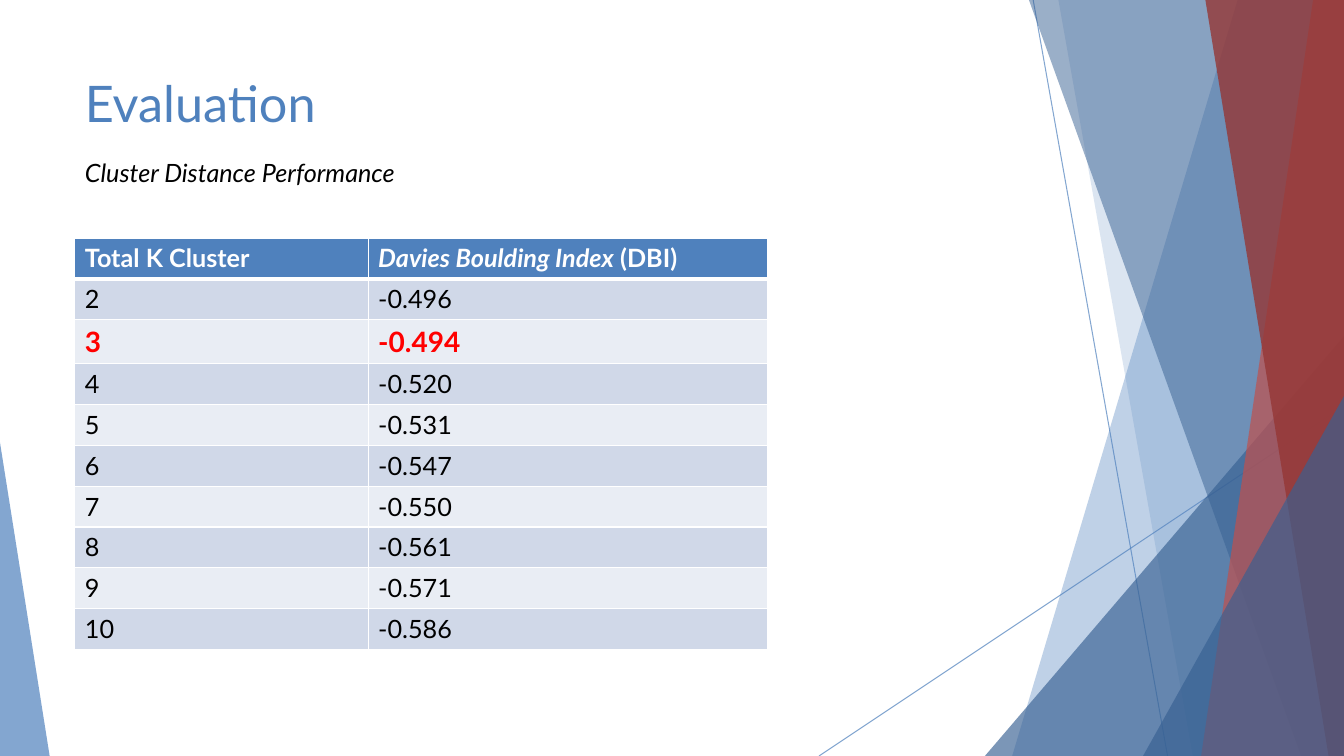
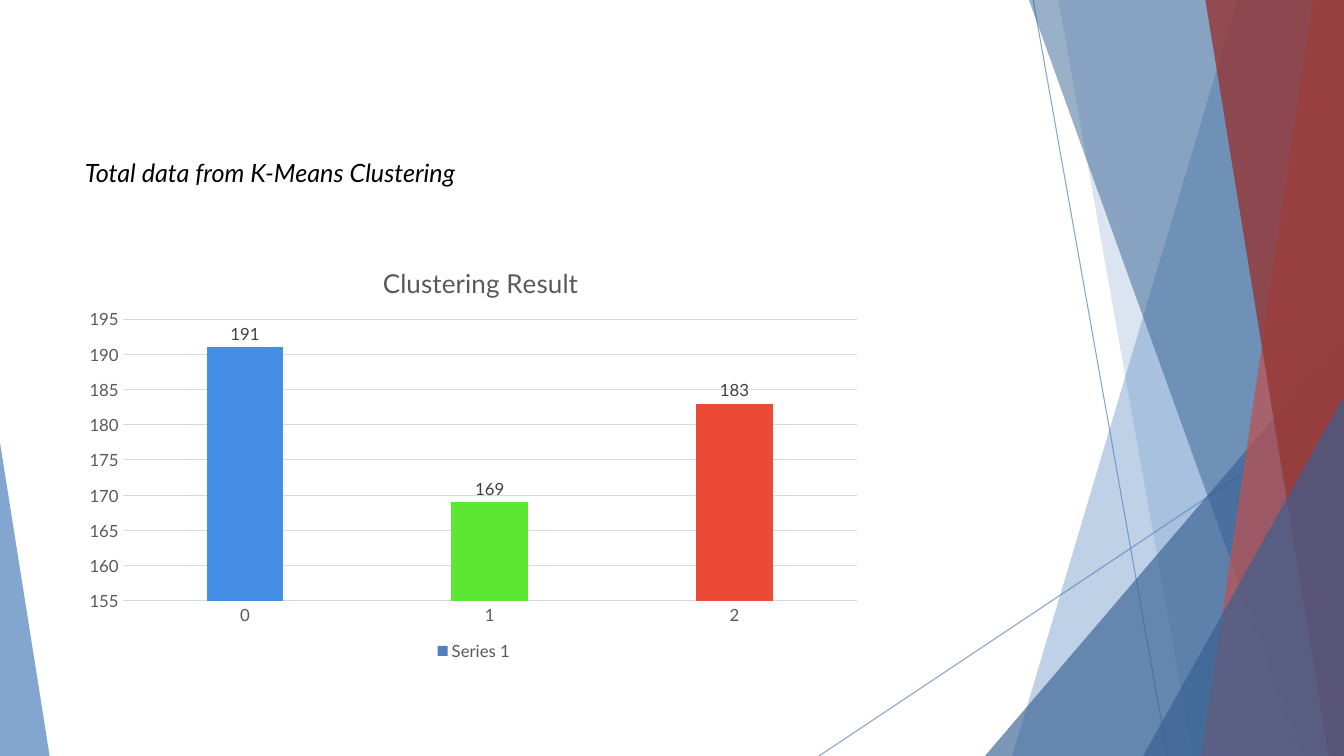
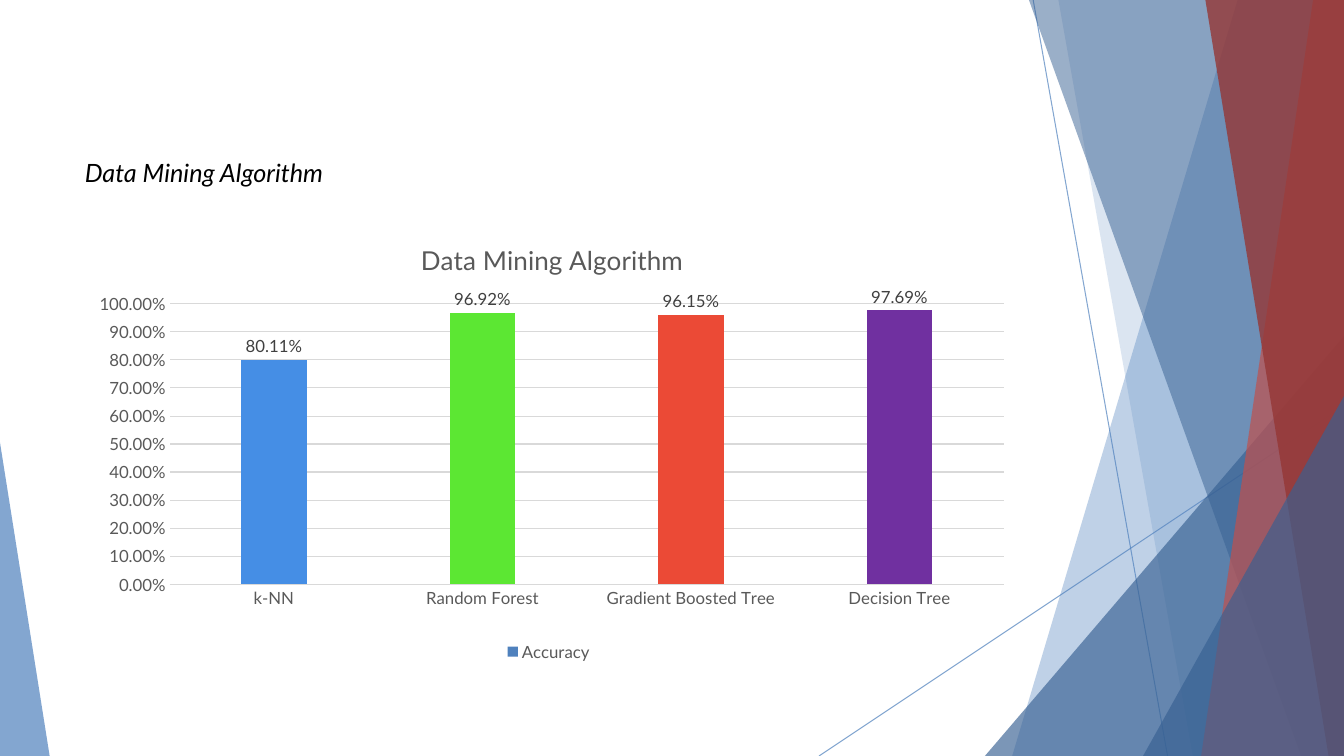
from lxml.etree import SubElement
from pptx import Presentation
from pptx.chart.data import CategoryChartData
from pptx.dml.color import RGBColor
from pptx.enum.chart import XL_CHART_TYPE, XL_LABEL_POSITION, XL_LEGEND_POSITION, XL_TICK_MARK
from pptx.enum.shapes import MSO_CONNECTOR, MSO_SHAPE
from pptx.oxml import parse_xml
from pptx.oxml.ns import nsdecls, qn
from pptx.util import Pt

FONT = "Lato"
WIDTH, HEIGHT = 960, 540
LEFT = 53.5

BLUE = RGBColor(0x4F, 0x81, 0xBD)
NAVY = RGBColor(0x37, 0x60, 0x92)
ROSE = RGBColor(0xC0, 0x50, 0x4D)
MAROON = RGBColor(0x95, 0x37, 0x35)
BLACK = RGBColor(0, 0, 0)
WHITE = RGBColor(0xFF, 0xFF, 0xFF)
RED = RGBColor(0xFF, 0, 0)
BAND_DARK = RGBColor(0xD0, 0xD8, 0xE8)
BAND_LIGHT = RGBColor(0xE9, 0xED, 0xF4)
GREY = RGBColor(0x59, 0x59, 0x59)
LABEL_GREY = RGBColor(0x40, 0x40, 0x40)
GRID = RGBColor(0xD9, 0xD9, 0xD9)
BAR_COLORS = [RGBColor(0x45, 0x8E, 0xE5), RGBColor(0x5C, 0xE7, 0x33),
              RGBColor(0xEB, 0x4A, 0x36), RGBColor(0x70, 0x30, 0xA0)]


def set_alpha(shape, percent):
    for color in shape._element.spPr.iter(qn("a:srgbClr")):
        SubElement(color, qn("a:alpha")).set("val", str(percent * 1000))


def set_font(font, size, color, bold=False, italic=False):
    font.name, font.size = FONT, Pt(size)
    font.bold, font.italic = bold, italic
    font.color.rgb = color


def set_layout(parent, index, **fractions):
    """Place a chart part by fractions of the chart area."""
    for old in parent.findall(qn("c:layout")):
        parent.remove(old)
    layout = parse_xml(f"<c:layout {nsdecls('c')}><c:manualLayout/></c:layout>")
    manual = layout[0]
    if "w" in fractions:
        SubElement(manual, qn("c:layoutTarget")).set("val", "inner")
    for key in "xy":
        SubElement(manual, qn(f"c:{key}Mode")).set("val", "edge")
    for key, value in fractions.items():
        SubElement(manual, qn(f"c:{key}")).set("val", str(value))
    parent.insert(index, layout)


class Deck:
    def __init__(self):
        self.prs = Presentation()
        self.prs.slide_width, self.prs.slide_height = Pt(WIDTH), Pt(HEIGHT)
        self.s = None

    def slide(self, subtitle):
        self.s = self.prs.slides.add_slide(self.prs.slide_layouts[6])
        self.facets()
        self.text(subtitle, 108.5, 29, 18, BLACK, italic=True)

    # Shared background
    def facets(self):
        self.line(738, 0, 834, HEIGHT)
        self.line(WIDTH, 290, 585, HEIGHT)
        self.panel(884, 723, BLUE, 36)
        self.panel(756, 852, BLUE, 20)
        self.triangle(703.5, 240, 256.5, 1, NAVY, 66)
        self.panel(735, 929.5, NAVY, 50)
        self.panel(938, 858, ROSE, 70)
        self.panel(861, 949, MAROON, 80)
        self.triangle(816.5, 283, 143.5, 1, NAVY, 66)
        self.triangle(0, 316, 35.5, 0, BLUE, 70)

    def line(self, x1, y1, x2, y2):
        line = self.s.shapes.add_connector(MSO_CONNECTOR.STRAIGHT, Pt(x1), Pt(y1), Pt(x2), Pt(y2))
        line.line.color.rgb = BLUE
        line.line.width = Pt(0.75)
        set_alpha(line, 70)
        SubElement(line._element.spPr, qn("a:effectLst"))

    def panel(self, top_x, bottom_x, color, alpha):
        """Area from a slanted edge to the right side of the slide."""
        builder = self.s.shapes.build_freeform(Pt(top_x), Pt(0))
        corners = [(WIDTH, 0), (WIDTH, HEIGHT), (bottom_x, HEIGHT)]
        builder.add_line_segments([(Pt(x), Pt(y)) for x, y in corners])
        self.paint(builder.convert_to_shape(), color, alpha)

    def triangle(self, x, y, width, apex, color, alpha):
        sp = self.s.shapes.add_shape(MSO_SHAPE.ISOSCELES_TRIANGLE,
                                     Pt(x), Pt(y), Pt(width), Pt(HEIGHT - y))
        sp.adjustments[0] = apex
        self.paint(sp, color, alpha)

    def paint(self, sp, color, alpha):
        sp.fill.solid()
        sp.fill.fore_color.rgb = color
        sp.line.fill.background()
        sp.shadow.inherit = False
        set_alpha(sp, alpha)

    # Content
    def text(self, text, y, height, size, color, italic=False):
        tf = self.s.shapes.add_textbox(Pt(LEFT), Pt(y), Pt(677), Pt(height)).text_frame
        tf.word_wrap = True
        r = tf.paragraphs[0].add_run()
        r.text = text
        set_font(r.font, size, color, italic=italic)

    def table(self, y, widths, row_height, header, rows, best):
        table = self.s.shapes.add_table(len(rows) + 1, len(widths), Pt(LEFT), Pt(y), Pt(sum(widths)),
                                        Pt(row_height * (len(rows) + 1))).table
        for column, width in zip(table.columns, widths):
            column.width = Pt(width)
        plain_rows = [[[(value, False)] for value in row] for row in rows]
        for i, row in enumerate([header] + plain_rows):
            if i == 0:
                fill, style = BLUE, (18, WHITE, True)
            else:
                fill = BAND_DARK if i % 2 else BAND_LIGHT
                style = (20, RED, True) if i == best else (18, BLACK, False)
            for j, runs in enumerate(row):
                self.cell(table.cell(i, j), runs, fill, style,
                          top=3 if i == 1 else 1, bottom=3 if i == 0 else 1)

    def cell(self, cell, runs, fill, style, top, bottom):
        tcPr = cell._tc.get_or_add_tcPr()
        for side, width in zip("LRTB", (1, 1, top, bottom)):
            tcPr.append(parse_xml(
                f'<a:ln{side} {nsdecls("a")} w="{Pt(width)}"><a:solidFill>'
                f'<a:srgbClr val="{WHITE}"/></a:solidFill></a:ln{side}>'))
        cell.fill.solid()
        cell.fill.fore_color.rgb = fill
        p = cell.text_frame.paragraphs[0]
        for text, italic in runs:
            r = p.add_run()
            r.text = text
            set_font(r.font, *style, italic=italic)

    def chart(self, y, width, height, title, title_at, plot_at, series, points, scale, fmt):
        data = CategoryChartData()
        data.categories = [name for name, _ in points]
        data.add_series(series, [value for _, value in points])
        chart = self.s.shapes.add_chart(XL_CHART_TYPE.COLUMN_CLUSTERED, Pt(LEFT), Pt(y),
                                        Pt(width), Pt(height), data).chart
        set_font(chart.font, 10, BLACK)

        # Title and legend
        r = chart.chart_title.text_frame.paragraphs[0].add_run()
        r.text = title
        set_font(r.font, 18.6, GREY)
        set_layout(chart.chart_title._element, 1, **dict(zip("xy", title_at)))
        chart.has_legend = True
        chart.legend.position = XL_LEGEND_POSITION.BOTTOM
        chart.legend.include_in_layout = False
        set_font(chart.legend.font, 12, GREY)

        # Axes
        cat, val = chart.category_axis, chart.value_axis
        for axis in (cat, val):
            axis.major_tick_mark = axis.minor_tick_mark = XL_TICK_MARK.NONE
            set_font(axis.tick_labels.font, 12, GREY)
        val.minimum_scale, val.maximum_scale, val.major_unit = scale
        val.tick_labels.number_format = fmt
        val.tick_labels.number_format_is_linked = False
        val.format.line.fill.background()
        for line in (cat.format.line, val.major_gridlines.format.line):
            line.color.rgb = GRID
            line.width = Pt(0.75)

        # Bars and labels
        plot = chart.plots[0]
        set_layout(chart._chartSpace.chart.plotArea, 0, **dict(zip("xywh", plot_at)))
        plot.vary_by_categories = False
        plot.gap_width, plot.overlap = 219, -27
        bars = plot.series[0]
        bars.format.fill.solid()
        bars.format.fill.fore_color.rgb = BLUE
        for i, color in enumerate(BAR_COLORS[:len(points)]):
            fill = bars.points[i].format.fill
            fill.solid()
            fill.fore_color.rgb = color
        labels = bars.data_labels
        labels.show_value = True
        labels.position = XL_LABEL_POSITION.OUTSIDE_END
        labels.number_format = fmt
        labels.number_format_is_linked = False
        set_font(labels.font, 12, LABEL_GREY)


def main():
    deck = Deck()

    # Cluster distance table
    deck.slide("Cluster Distance Performance")
    deck.text("Evaluation", 48, 60, 36, BLUE)
    scores = ["-0.496", "-0.494", "-0.520", "-0.531", "-0.547",
              "-0.550", "-0.561", "-0.571", "-0.586"]
    deck.table(170, [209.5, 285], 29.2,
               [[("Total K Cluster", False)], [("Davies Boulding Index", True), (" (DBI)", False)]],
               [(str(k), score) for k, score in enumerate(scores, 2)], best=2)

    # Cluster sizes
    deck.slide("Total data from K-Means Clustering")
    deck.chart(170, 570, 305, "Clustering Result", (0.38, 0.05), (0.06, 0.19, 0.92, 0.66),
               "Series 1", [("0", 191), ("1", 169), ("2", 183)], (155, 195, 5), "General")

    # Algorithm accuracy
    deck.slide("Data Mining Algorithm")
    deck.chart(152.5, 677, 323, "Data Mining Algorithm", (0.36, 0.05), (0.1, 0.2, 0.88, 0.62),
               "Accuracy", [("k-NN", 0.8011), ("Random Forest", 0.9692),
                            ("Gradient Boosted Tree", 0.9615), ("Decision Tree", 0.9769)],
               (0, 1, 0.1), "0.00%")

    deck.prs.save("out.pptx")


if __name__ == "__main__":
    main()
